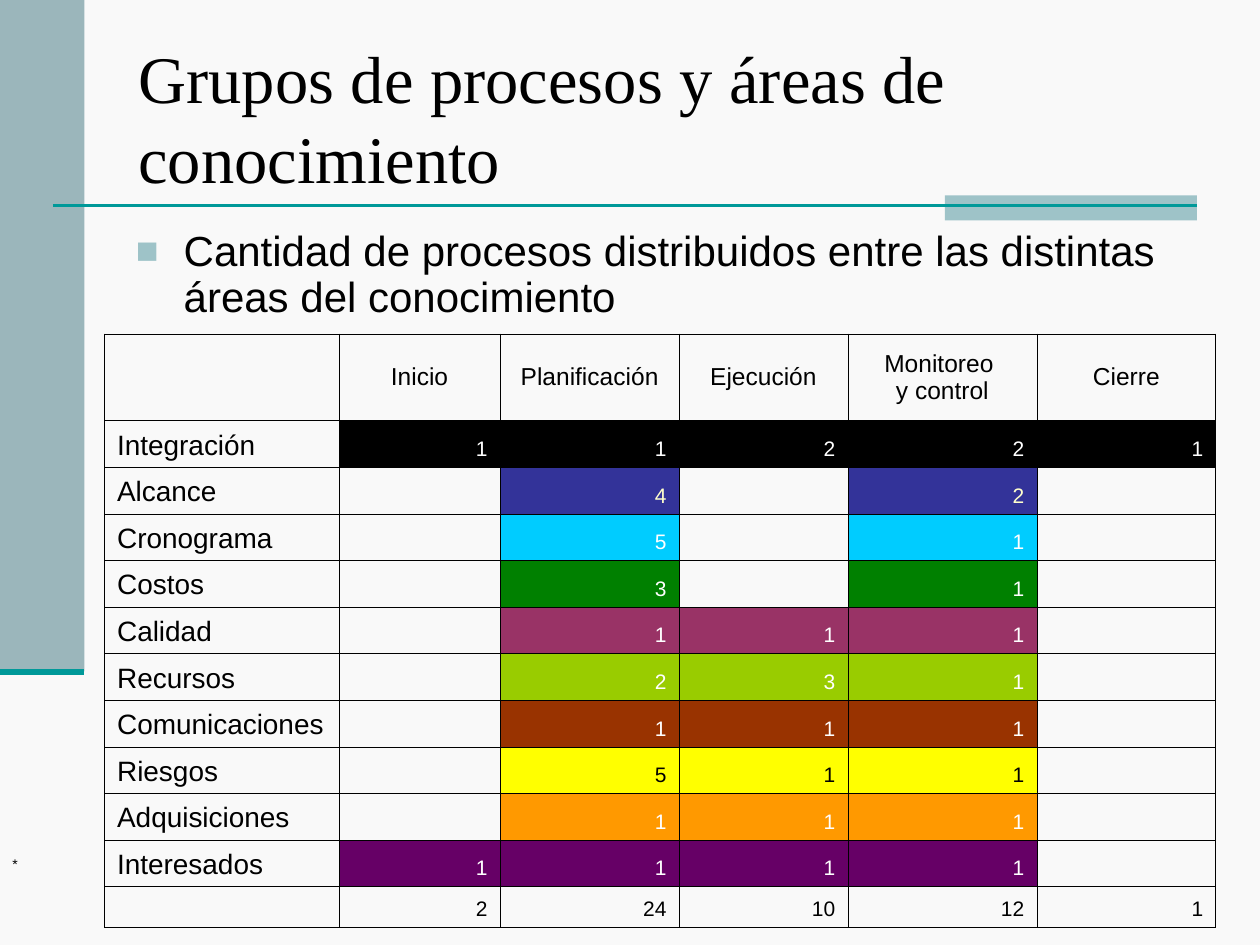
from lxml import etree
from pptx import Presentation
from pptx.dml.color import RGBColor
from pptx.enum.shapes import MSO_CONNECTOR, MSO_SHAPE
from pptx.enum.text import MSO_ANCHOR, PP_ALIGN
from pptx.oxml.ns import qn
from pptx.util import Inches, Pt

RECT = MSO_SHAPE.RECTANGLE
LINE = MSO_CONNECTOR.STRAIGHT
TOP, MIDDLE, BOTTOM = MSO_ANCHOR.TOP, MSO_ANCHOR.MIDDLE, MSO_ANCHOR.BOTTOM
LEFT, CENTER, RIGHT = PP_ALIGN.LEFT, PP_ALIGN.CENTER, PP_ALIGN.RIGHT

BLACK, WHITE, TEAL, MIST = "000000", "FFFFFF", "009999", "9EC3C8"
PHASES = ["", "Inicio", "Planificación", "Ejecución", "Monitoreo \ny control", "Cierre"]
# Area, fill colour, number colour, processes in each phase
AREAS = [
    ("Integración", BLACK, WHITE, [1, 1, 2, 2, 1]),
    ("Alcance", "333399", "FFFFCC", ["", 4, "", 2, ""]),
    ("Cronograma", "00CCFF", WHITE, ["", 5, "", 1, ""]),
    ("Costos", "008000", WHITE, ["", 3, "", 1, ""]),
    ("Calidad", "993366", WHITE, ["", 1, 1, 1, ""]),
    ("Recursos", "99CC00", WHITE, ["", 2, 3, 1, ""]),
    ("Comunicaciones", "993300", WHITE, ["", 1, 1, 1, ""]),
    ("Riesgos", "FFFF00", BLACK, ["", 5, 1, 1, ""]),
    ("Adquisiciones", "FF9900", WHITE, ["", 1, 1, 1, ""]),
    ("Interesados", "660066", WHITE, [1, 1, 1, 1, ""]),
    ("", None, BLACK, [2, 24, 10, 12, 1]),
]
WIDTHS = [1.86, 1.28, 1.42, 1.34, 1.5, 1.42]
HEIGHTS = [0.69] + [0.37] * 10 + [0.32]


def rgb(code):
    return RGBColor.from_string(code)


def add(parent, tag, **attrs):
    return etree.SubElement(parent, qn(tag), **attrs)


class Deck:
    font = "Arial"
    ink = BLACK

    def __init__(self, slide):
        self.slide = slide

    def back(self, color):
        fill = self.slide.background.fill
        fill.solid()
        fill.fore_color.rgb = rgb(color)

    def bar(self, x, y, w, h, color):
        shape = self.slide.shapes.add_shape(RECT, Inches(x), Inches(y), Inches(w), Inches(h))
        shape.shadow.inherit = False
        shape.fill.solid()
        shape.fill.fore_color.rgb = rgb(color)
        shape.line.fill.background()

    def rule(self, x1, x2, y, width):
        line = self.slide.shapes.add_connector(LINE, Inches(x1), Inches(y), Inches(x2), Inches(y))
        line.line.color.rgb = rgb(TEAL)
        line.line.width = Pt(width)
        add(line._element.spPr, "a:effectLst")

    def run(self, para, text, size, color=None, font=None):
        run = para.add_run()
        run.text = text
        run.font.size = Pt(size)
        run.font.name = font or self.font
        run.font.color.rgb = rgb(color or self.ink)

    def text(self, x, y, w, h, text, size, font=None, anchor=TOP):
        box = self.slide.shapes.add_textbox(Inches(x), Inches(y), Inches(w), Inches(h))
        frame = box.text_frame
        frame.word_wrap = True
        frame.vertical_anchor = anchor
        para = frame.paragraphs[0]
        self.run(para, text, size, font=font)
        return para

    def bullet(self, x, y, w, h, text, size):
        para = self.text(x, y, w, h, text, size)
        para.line_spacing = 0.9
        props = para._p.get_or_add_pPr()
        props.set("marL", str(Inches(0.38)))
        props.set("indent", str(-Inches(0.38)))
        add(add(props, "a:buClr"), "a:srgbClr", val=MIST)
        add(props, "a:buSzPct", val="90000")
        add(props, "a:buFont", typeface=self.font)
        add(props, "a:buChar", char="■")

    def frame(self, cell):
        """Draw a thin border on all four sides of a cell."""
        props = cell._tc.get_or_add_tcPr()
        for side in "LRTB":
            edge = add(props, f"a:ln{side}", w=str(Pt(0.45)))
            add(add(edge, "a:solidFill"), "a:srgbClr", val=self.ink)

    def cell(self, cell, text, size, align, anchor, color=None, fill=None):
        self.frame(cell)
        if fill:
            cell.fill.solid()
            cell.fill.fore_color.rgb = rgb(fill)
        else:
            cell.fill.background()
        cell.vertical_anchor = anchor
        body = cell.text_frame
        for i, part in enumerate(text.split("\n")):
            para = body.add_paragraph() if i else body.paragraphs[0]
            para.alignment = align
            if part:
                self.run(para, part, size, color)
            else:
                add(para._p, "a:endParaRPr", sz=str(size * 100))

    def table(self, x, y):
        shape = self.slide.shapes.add_table(
            len(HEIGHTS), len(WIDTHS), Inches(x), Inches(y),
            Inches(sum(WIDTHS)), Inches(sum(HEIGHTS)))
        grid = shape.table
        grid.first_row = grid.horz_banding = False
        for col, width in zip(grid.columns, WIDTHS):
            col.width = Inches(width)
        for row, height in zip(grid.rows, HEIGHTS):
            row.height = Inches(height)
        for c, phase in enumerate(PHASES):
            self.cell(grid.cell(0, c), phase, 14, CENTER, MIDDLE)
        for r, (area, fill, color, counts) in enumerate(AREAS, 1):
            self.cell(grid.cell(r, 0), area, 16 if area else 12, LEFT, BOTTOM)
            for c, count in enumerate(counts, 1):
                self.cell(grid.cell(r, c), str(count), 12, RIGHT, BOTTOM,
                          color, fill if count else None)


def main():
    prs = Presentation()
    prs.slide_width, prs.slide_height = Inches(10), Inches(7.5)
    deck = Deck(prs.slides.add_slide(prs.slide_layouts[6]))
    deck.back("F9F9F9")
    deck.bar(0, 0, 0.67, 5.33, "9BB6BB")
    deck.bar(7.5, 1.55, 2, 0.2, MIST)
    deck.rule(0.42, 9.5, 1.63, 1.5)
    deck.rule(0, 0.67, 5.33, 3.5)
    deck.text(1, 0.3, 8.5, 1.25, "Grupos de procesos y áreas de conocimiento", 38,
              "Times New Roman", MIDDLE)
    deck.bullet(0.98, 1.78, 8.57, 0.87,
                "Cantidad de procesos distribuidos entre las distintas áreas del conocimiento", 24)
    deck.table(0.83, 2.65)
    deck.text(0, 6.74, 1.85, 0.24, "*", 8)
    prs.save("out.pptx")


if __name__ == "__main__":
    main()
